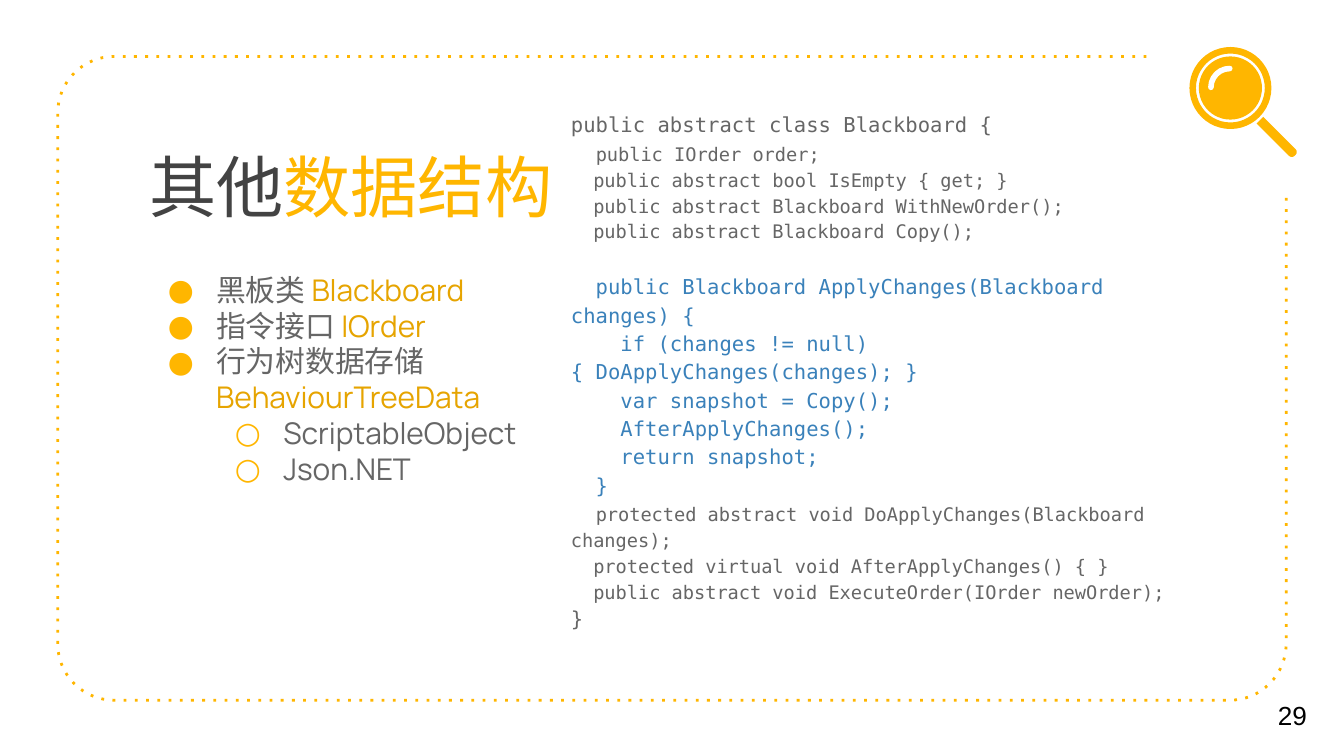
from math import cos, radians, sin

from lxml.etree import SubElement, Element
from pptx import Presentation
from pptx.dml.color import RGBColor
from pptx.enum.dml import MSO_LINE
from pptx.enum.shapes import MSO_SHAPE as Shape
from pptx.enum.text import MSO_ANCHOR as Anchor, MSO_AUTO_SIZE as AutoSize, PP_ALIGN as Align
from pptx.oxml.ns import qn
from pptx.util import Inches, Pt

YELLOW, GOLD, DARK, GREY, BLUE = "FFB600", "E6A400", "434343", "666666", "3A81BA"
SANS, MONO = "Manrope", "DejaVu Sans Mono"

# Code pieces: text, size, colour
DECLARATIONS = [
    ("public abstract class Blackboard {\n  ", 11, GREY),
    ("public IOrder order;\n"
     "  public abstract bool IsEmpty { get; }\n"
     "  public abstract Blackboard WithNewOrder();\n"
     "  public abstract Blackboard Copy();", 10, GREY),
]
METHODS = [
    ("  public Blackboard ApplyChanges(Blackboard changes) {\n"
     "    if (changes != null) { DoApplyChanges(changes); }\n"
     "    var snapshot = Copy();\n"
     "    AfterApplyChanges();\n"
     "    return snapshot;\n"
     "  }\n  ", 11, BLUE),
    ("protected abstract void DoApplyChanges(Blackboard changes);\n"
     "  protected virtual void AfterApplyChanges() { }\n"
     "  public abstract void ExecuteOrder(IOrder newOrder);\n", 10, GREY),
    ("}", 11, GREY),
]

# Bullets: level, pieces of text and colour
TOPICS = [
    (0, [("黑板类 ", GREY), ("Blackboard", GOLD)]),
    (0, [("指令接口 ", GREY), ("IOrder", GOLD)]),
    (0, [("行为树数据存储\n", GREY), ("BehaviourTreeData", GOLD)]),
    (1, [("ScriptableObject", GREY)]),
    (1, [("Json.NET", GREY)]),
]


def rgb(hex_color):
    return RGBColor.from_string(hex_color)


def set_font(paragraph, name, size):
    """Set the paragraph font for Latin and East Asian letters."""
    font = paragraph.font
    font.name, font.size = name, Pt(size)
    latin = font._element.find(qn("a:latin"))
    east_asian = Element(qn("a:ea"), typeface=name)
    latin.addnext(east_asian)


def add_text(paragraph, text, color, size=None):
    """Add text in one colour, with a line break at each newline."""
    for i, line in enumerate(text.split("\n")):
        if i:
            paragraph.add_line_break()
        if line:
            run = paragraph.add_run()
            run.text = line
            run.font.color.rgb = rgb(color)
            if size:
                run.font.size = Pt(size)


def format_frame(frame, anchor=Anchor.TOP):
    frame.word_wrap = True
    frame.auto_size = AutoSize.NONE
    frame.vertical_anchor = anchor
    frame.margin_left = frame.margin_right = Inches(0.1)
    frame.margin_top = frame.margin_bottom = Inches(0.1)


def add_box(slide, left, top, width, height, anchor=Anchor.TOP):
    box = slide.shapes.add_textbox(Inches(left), Inches(top), Inches(width), Inches(height))
    format_frame(box.text_frame, anchor)
    return box.text_frame


def next_paragraph(frame, index):
    return frame.add_paragraph() if index else frame.paragraphs[0]


def set_bullet(paragraph, level):
    paragraph.level = level
    props = paragraph._p.get_or_add_pPr()
    props.set("marL", str(Inches(0.5 + 0.5 * level)))
    props.set("indent", str(-Inches(0.36)))
    color = Element(qn("a:buClr"))
    SubElement(color, qn("a:srgbClr"), val=YELLOW)
    typeface = Element(qn("a:buFont"), typeface=SANS)
    mark = Element(qn("a:buChar"), char="●○"[level])
    defaults = props.find(qn("a:defRPr"))
    for part in (color, typeface, mark):
        defaults.addprevious(part)


def add_preset(slide, kind, left, top, width, height, color=YELLOW):
    shape = slide.shapes.add_shape(kind, Inches(left), Inches(top), Inches(width), Inches(height))
    shape.shadow.inherit = False
    shape.fill.solid()
    shape.fill.fore_color.rgb = rgb(color)
    shape.line.fill.background()
    return shape


def add_border(slide):
    """Dotted frame with round corners, open at the top right."""
    left, top, right, bottom, radius = 0.43, 0.42, 9.57, 5.21, 0.42
    corners = [
        (left + radius, top + radius, 270),
        (left + radius, bottom - radius, 180),
        (right - radius, bottom - radius, 90),
    ]
    points = []
    for x, y, start in corners:
        for step in range(17):
            angle = radians(start - step * 90 / 16)
            points.append((Inches(x + radius * cos(angle)), Inches(y + radius * sin(angle))))
    points.append((Inches(right), Inches(1.46)))
    builder = slide.shapes.build_freeform(Inches(8.53), Inches(top))
    builder.add_line_segments(points, close=False)
    border = builder.convert_to_shape()
    border.shadow.inherit = False
    border.fill.background()
    border.line.color.rgb = rgb(YELLOW)
    border.line.width = Pt(1.5)
    border.line.dash_style = MSO_LINE.ROUND_DOT
    border._element.spPr.find(qn("a:ln")).find(qn("a:prstDash")).set("val", "dot")


def add_magnifier(slide):
    rim = add_preset(slide, Shape.DONUT, 8.85, 0.35, 0.61, 0.61)
    rim.adjustments[0] = 0.08
    add_preset(slide, Shape.OVAL, 8.92, 0.42, 0.47, 0.47)
    handle = add_preset(slide, Shape.ROUND_2_SAME_RECTANGLE, 9.47, 0.84, 0.07, 0.37)
    handle.adjustments[0] = 0.4
    handle.rotation = 135
    # Highlight on the lens: the upper left quarter of a circle
    glint = add_preset(slide, Shape.ARC, 9.01, 0.51, 0.28, 0.28)
    glint.adjustments[0], glint.adjustments[1] = 108, 162
    glint.fill.background()
    glint.line.color.rgb = rgb("FFFFFF")
    glint.line.width = Pt(3)
    glint._element.spPr.find(qn("a:ln")).set("cap", "rnd")


def add_title(slide):
    title = slide.shapes.title
    title.left, title.top = Inches(1.01), Inches(0.98)
    title.width, title.height = Inches(7.51), Inches(0.81)
    format_frame(title.text_frame)
    heading = title.text_frame.paragraphs[0]
    heading.alignment = Align.LEFT
    set_font(heading, SANS, 36)
    add_text(heading, "其他", DARK)
    add_text(heading, "数据结构", YELLOW)


def add_code(slide):
    code = add_box(slide, 4.15, 0.71, 4.9, 4.2)
    for i, pieces in enumerate([DECLARATIONS, METHODS]):
        block = next_paragraph(code, i)
        block.line_spacing = 1.15
        block.space_before = Pt(15 * i)
        set_font(block, MONO, 10)
        for text, size, color in pieces:
            add_text(block, text, color, size)


def add_topics(slide):
    topics = add_box(slide, 1.01, 1.92, 2.98, 3.03)
    for i, (level, pieces) in enumerate(TOPICS):
        topic = next_paragraph(topics, i)
        topic.space_before = Pt(0 if i else 6)
        set_font(topic, SANS, 16)
        set_bullet(topic, level)
        for text, color in pieces:
            add_text(topic, text, color)


def add_page_number(slide):
    number = add_box(slide, 9.41, 5.02, 0.59, 0.6, Anchor.MIDDLE).paragraphs[0]
    set_font(number, "Arial", 14)
    add_text(number, "29", "000000")


def main():
    deck = Presentation()
    # Widescreen, 16 by 9
    deck.slide_width = Inches(10)
    deck.slide_height = deck.slide_width * 9 // 16
    slide = deck.slides.add_slide(deck.slide_layouts[5])
    add_border(slide)
    add_title(slide)
    add_page_number(slide)
    add_magnifier(slide)
    add_code(slide)
    add_topics(slide)
    deck.save("out.pptx")


if __name__ == "__main__":
    main()
